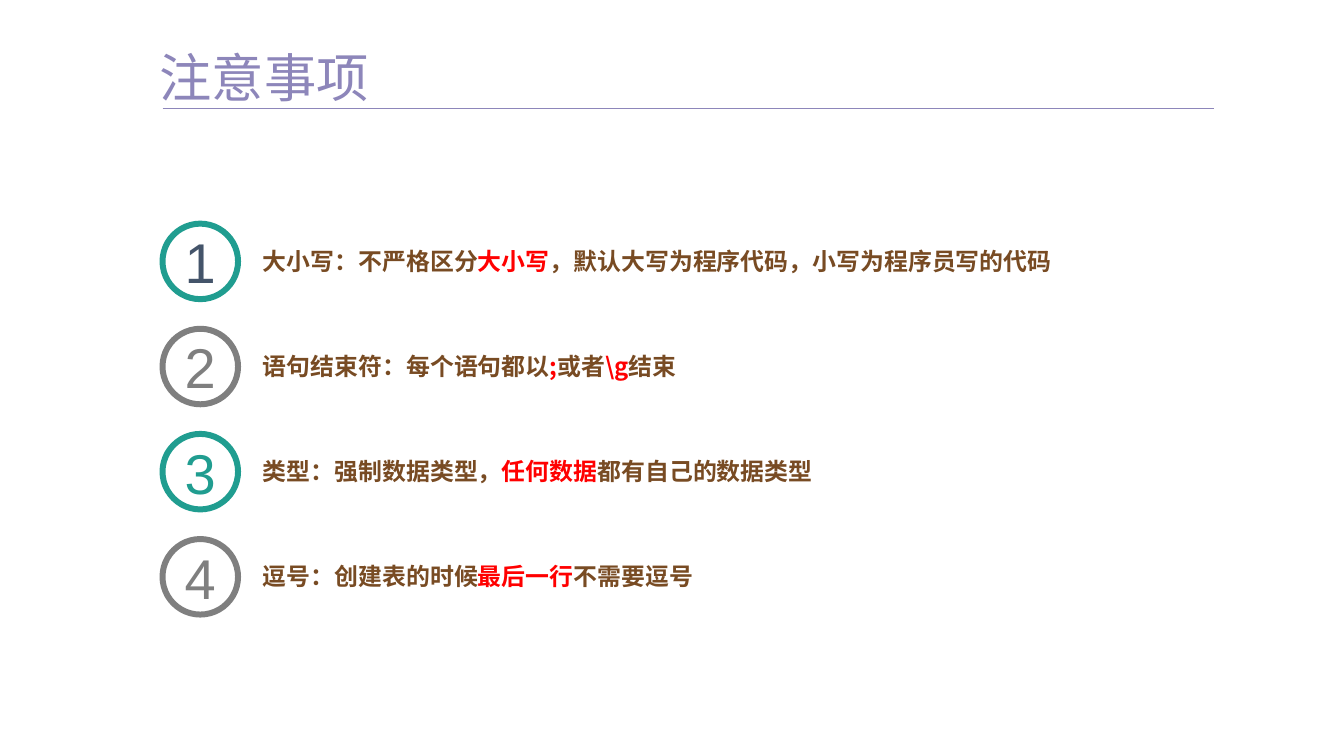
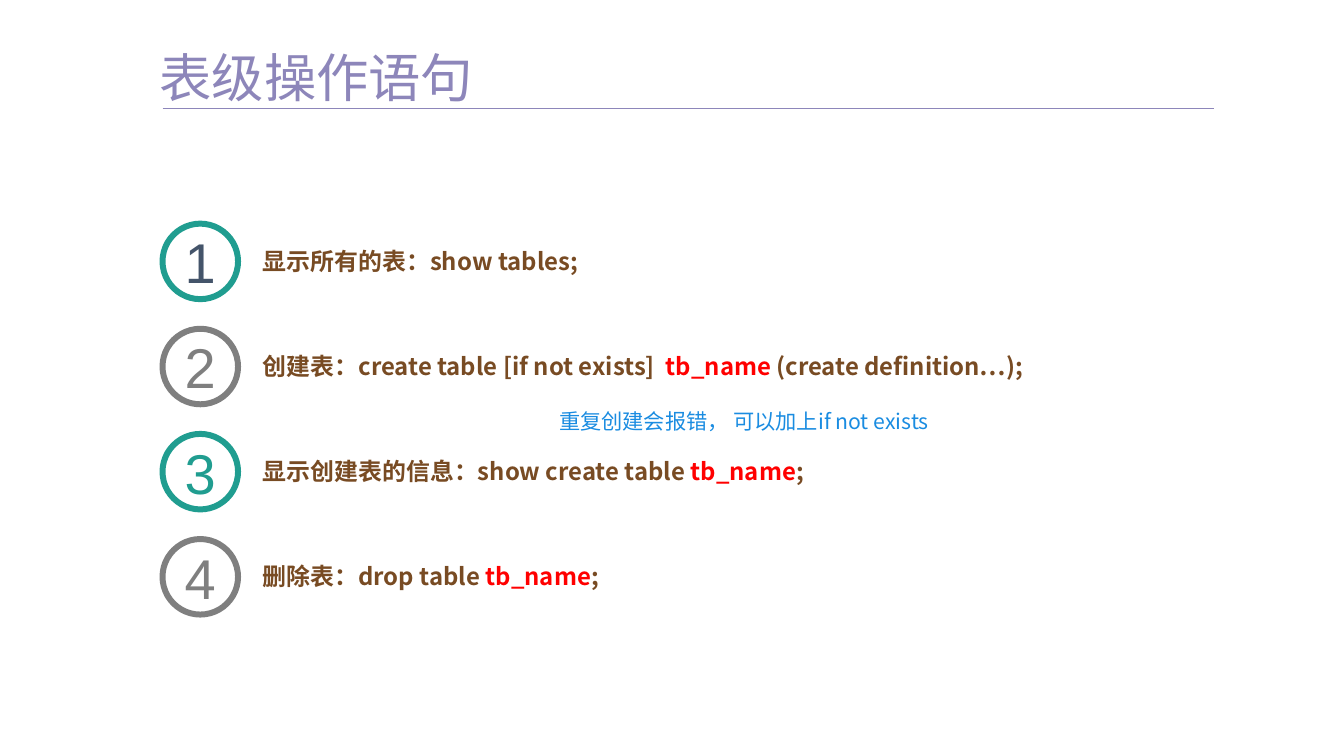
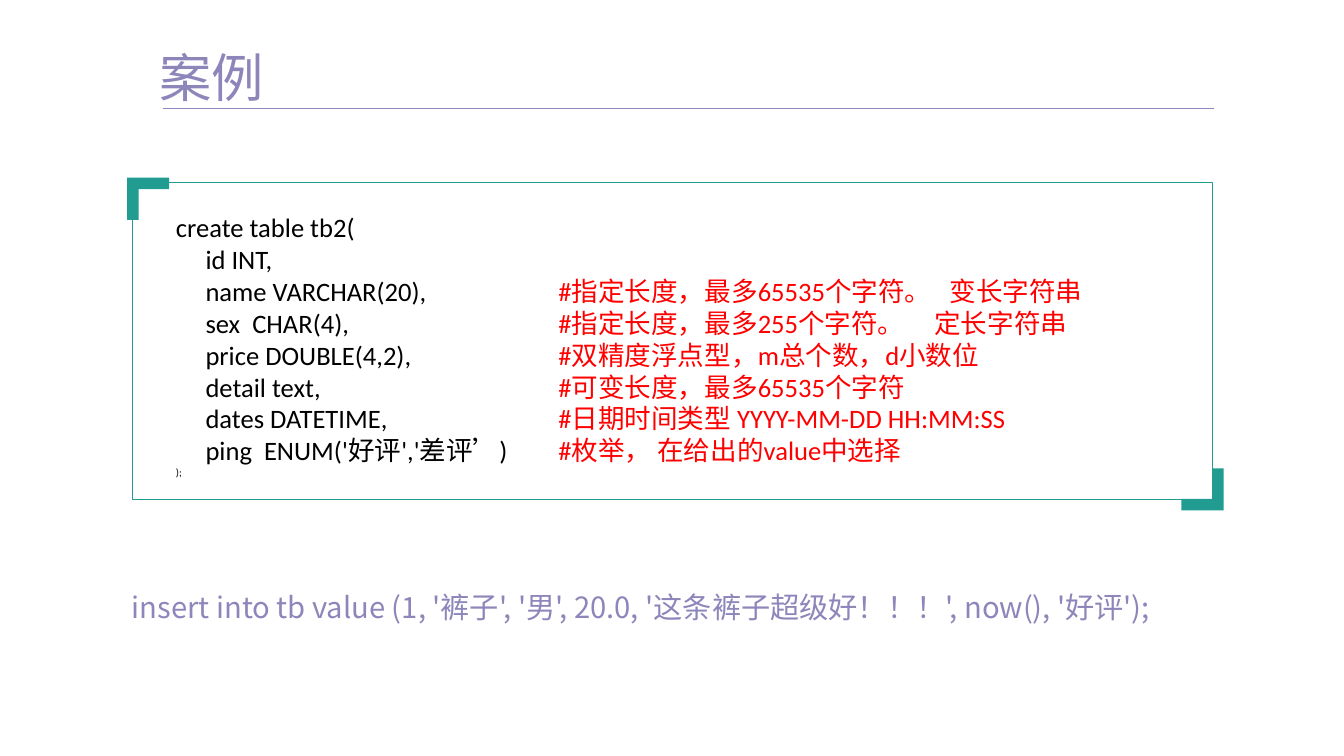
import dataclasses

import pptx
import pptx.dml.color
import pptx.enum.shapes
import pptx.enum.text
import pptx.oxml.ns
import pptx.util
from lxml import etree

Inches = pptx.util.Inches
Anchor = pptx.enum.text.MSO_ANCHOR
Align = pptx.enum.text.PP_ALIGN
Shape = pptx.enum.shapes.MSO_SHAPE


@dataclasses.dataclass(frozen=True)
class Theme:
    purple: str = "8D86BA"
    teal: str = "209D90"
    gray: str = "7F7F7F"
    navy: str = "44546A"
    brown: str = "784B23"
    red: str = "FF0000"
    blue: str = "1A8CE1"
    black: str = "000000"
    white: str = "FFFFFF"
    heading_font: str = "Noto Sans CJK SC"
    number_font: str = "Arial"
    code_font: str = "Calibri"
    title_size: float = 39.4
    number_size: float = 42.2
    statement_size: float = 22
    code_size: float = 20
    item_size: float = 18
    note_size: float = 16
    small_size: float = 8


THEME = Theme()
SLIDE_WIDTH, SLIDE_HEIGHT = 14.06, 7.91
LEFT, RIGHT = 1.7, 12.7
RULE_TOP = 1.13
FIRST_ROW_TOP, ROW_PITCH = 2.34, 1.1
CIRCLE_SIZE = 0.79
ITEM_LEFT, ITEM_OFFSET, ITEM_WIDTH, ITEM_HEIGHT = 2.75, 0.24, 9.79, 0.3
PANEL_LEFT, PANEL_TOP, PANEL_WIDTH, PANEL_HEIGHT = 1.38, 1.91, 11.3, 3.31
CORNER_SIZE, CORNER_THICKNESS = 0.44, 0.12
BADGE_COLORS = [
    (THEME.teal, THEME.navy),
    (THEME.gray, THEME.gray),
    (THEME.teal, THEME.teal),
    (THEME.gray, THEME.gray),
]

NOTICE_ITEMS = [
    ["大小写：不严格区分", "大小写", "，默认大写为程序代码，小写为程序员写的代码"],
    ["语句结束符：每个语句都以", ";", "或者", "\\g", "结束"],
    ["类型：强制数据类型，", "任何数据", "都有自己的数据类型"],
    ["逗号：创建表的时候", "最后一行", "不需要逗号"],
]
TABLE_ITEMS = [
    ["显示所有的表：show tables;"],
    ["创建表：create table [if not exists]  ", "tb_name ", "(create definition…);"],
    ["显示创建表的信息：show create table ", "tb_name", ";"],
    ["删除表：drop table ", "tb_name", ";"],
]
COLUMN_LINES = [
    ["id INT,"],
    ["name VARCHAR(20),\t", "#指定长度，最多65535个字符。   变长字符串"],
    ["sex  CHAR(4),\t", "#指定长度，最多255个字符。     定长字符串"],
    ["price DOUBLE(4,2),\t", "#双精度浮点型，m总个数，d小数位"],
    ["detail text,\t", "#可变长度，最多65535个字符"],
    ["dates DATETIME,\t", "#日期时间类型 YYYY-MM-DD HH:MM:SS"],
    ["ping  ENUM('好评','差评’)\t", "#枚举， 在给出的value中选择"],
]


def rgb(color):
    return pptx.dml.color.RGBColor.from_string(color)


def write(paragraph, parts, name, size, color, bold=False):
    """Add the parts as runs; every second part is highlighted in red."""
    font = paragraph.font
    font.name, font.size, font.bold = name, pptx.util.Pt(size), bold
    font.color.rgb = rgb(color)
    if name == THEME.heading_font:
        properties = paragraph._p.get_or_add_pPr().get_or_add_defRPr()
        east_asian = etree.SubElement(properties, pptx.oxml.ns.qn("a:ea"))
        east_asian.set("typeface", name)
    for index, part in enumerate(parts):
        run = paragraph.add_run()
        run.text = part
        if index % 2:
            run.font.color.rgb = rgb(THEME.red)


def prepare_frame(frame, anchor):
    frame.margin_left = frame.margin_right = 0
    frame.margin_top = frame.margin_bottom = 0
    frame.word_wrap = True
    frame.vertical_anchor = anchor
    return frame


def add_text_frame(slide, left, top, width, height, anchor=Anchor.MIDDLE):
    box = slide.shapes.add_textbox(*map(Inches, (left, top, width, height)))
    frame = prepare_frame(box.text_frame, anchor)
    frame.auto_size = pptx.enum.text.MSO_AUTO_SIZE.SHAPE_TO_FIT_TEXT
    return frame


def add_titled_slide(presentation, title):
    slide = presentation.slides.add_slide(presentation.slide_layouts[5])
    placeholder = slide.shapes.title
    placeholder.left, placeholder.top = Inches(1.67), Inches(0.47)
    placeholder.width, placeholder.height = Inches(4.49), Inches(0.66)
    frame = prepare_frame(placeholder.text_frame, Anchor.TOP)
    frame.auto_size = pptx.enum.text.MSO_AUTO_SIZE.SHAPE_TO_FIT_TEXT
    paragraph = frame.paragraphs[0]
    paragraph.alignment = Align.LEFT
    write(paragraph, [title], THEME.heading_font, THEME.title_size, THEME.purple)

    rule = slide.shapes.add_connector(
        pptx.enum.shapes.MSO_CONNECTOR.STRAIGHT,
        *map(Inches, (LEFT, RULE_TOP, RIGHT, RULE_TOP)))
    rule.line.color.rgb = rgb(THEME.purple)
    rule.line.width = pptx.util.Pt(0.5)
    etree.SubElement(rule._element.spPr, pptx.oxml.ns.qn("a:effectLst"))
    return slide


def add_badge(slide, number, top, ring_color, number_color):
    circle = slide.shapes.add_shape(
        Shape.OVAL, *map(Inches, (LEFT, top, CIRCLE_SIZE, CIRCLE_SIZE)))
    circle.shadow.inherit = False
    circle.fill.solid()
    circle.fill.fore_color.rgb = rgb(THEME.white)
    circle.line.color.rgb = rgb(ring_color)
    circle.line.width = pptx.util.Pt(4.5)
    paragraph = prepare_frame(circle.text_frame, Anchor.MIDDLE).paragraphs[0]
    paragraph.alignment = Align.CENTER
    write(paragraph, [str(number)], THEME.number_font, THEME.number_size, number_color)


def add_numbered_list(slide, items):
    for row, (parts, colors) in enumerate(zip(items, BADGE_COLORS)):
        top = FIRST_ROW_TOP + row * ROW_PITCH
        add_badge(slide, row + 1, top, *colors)
        frame = add_text_frame(slide, ITEM_LEFT, top + ITEM_OFFSET,
                               ITEM_WIDTH, ITEM_HEIGHT)
        write(frame.paragraphs[0], parts, THEME.heading_font, THEME.item_size,
              THEME.brown, bold=True)


def add_corner(slide, left, top, direction):
    """Draw an L from its outer corner; direction 1 opens down-right, -1 up-left."""
    size, thickness = CORNER_SIZE * direction, CORNER_THICKNESS * direction
    offsets = [(size, 0), (size, thickness), (thickness, thickness),
               (thickness, size), (0, size)]
    builder = slide.shapes.build_freeform(Inches(left), Inches(top))
    builder.add_line_segments(
        [(Inches(left + x), Inches(top + y)) for x, y in offsets], close=True)
    corner = builder.convert_to_shape()
    corner.shadow.inherit = False
    corner.fill.solid()
    corner.fill.fore_color.rgb = rgb(THEME.teal)
    corner.line.fill.background()


def add_panel(slide):
    panel = slide.shapes.add_shape(
        Shape.RECTANGLE,
        *map(Inches, (PANEL_LEFT, PANEL_TOP, PANEL_WIDTH, PANEL_HEIGHT)))
    panel.shadow.inherit = False
    panel.fill.background()
    panel.line.color.rgb = rgb(THEME.teal)
    panel.line.width = pptx.util.Pt(0.25)
    add_corner(slide, PANEL_LEFT - 0.05, PANEL_TOP - 0.05, 1)
    add_corner(slide, PANEL_LEFT + PANEL_WIDTH + 0.12,
               PANEL_TOP + PANEL_HEIGHT + 0.12, -1)


def indent_with_tab(paragraph, indent, tab):
    """Indent the first line and space the tab stops evenly."""
    properties = paragraph._p.get_or_add_pPr()
    properties.set("marL", "0")
    properties.set("indent", str(Inches(indent)))
    properties.set("defTabSz", str(Inches(tab)))


def add_code(slide):
    frame = add_text_frame(slide, 1.84, 2.21, 10.38, 2.83, Anchor.TOP)
    write(frame.paragraphs[0], ["create table tb2("], THEME.code_font,
          THEME.code_size, THEME.black)
    for parts in COLUMN_LINES:
        paragraph = frame.add_paragraph()
        indent_with_tab(paragraph, 0.31, 4)
        write(paragraph, parts, THEME.code_font, THEME.code_size, THEME.black)
    write(frame.add_paragraph(), [");"], THEME.code_font, THEME.small_size, THEME.black)


def main():
    presentation = pptx.Presentation()
    presentation.slide_width = Inches(SLIDE_WIDTH)
    presentation.slide_height = Inches(SLIDE_HEIGHT)

    add_numbered_list(add_titled_slide(presentation, "注意事项"), NOTICE_ITEMS)

    slide = add_titled_slide(presentation, "表级操作语句")
    add_numbered_list(slide, TABLE_ITEMS)
    note = add_text_frame(slide, 5.85, 4.27, 5.35, 0.27).paragraphs[0]
    write(note, ["重复创建会报错， 可以加上if not exists"], THEME.heading_font,
          THEME.note_size, THEME.blue)

    slide = add_titled_slide(presentation, "案例")
    add_panel(slide)
    add_code(slide)
    statement = add_text_frame(slide, PANEL_LEFT, 6.31, PANEL_WIDTH, 0.23).paragraphs[0]
    statement.line_spacing = pptx.util.Pt(15)
    write(statement,
          ["insert into tb value (1, '裤子', '男', 20.0, '这条裤子超级好！！！', now(), '好评');"],
          THEME.heading_font, THEME.statement_size, THEME.purple)

    presentation.save("out.pptx")


if __name__ == "__main__":
    main()
